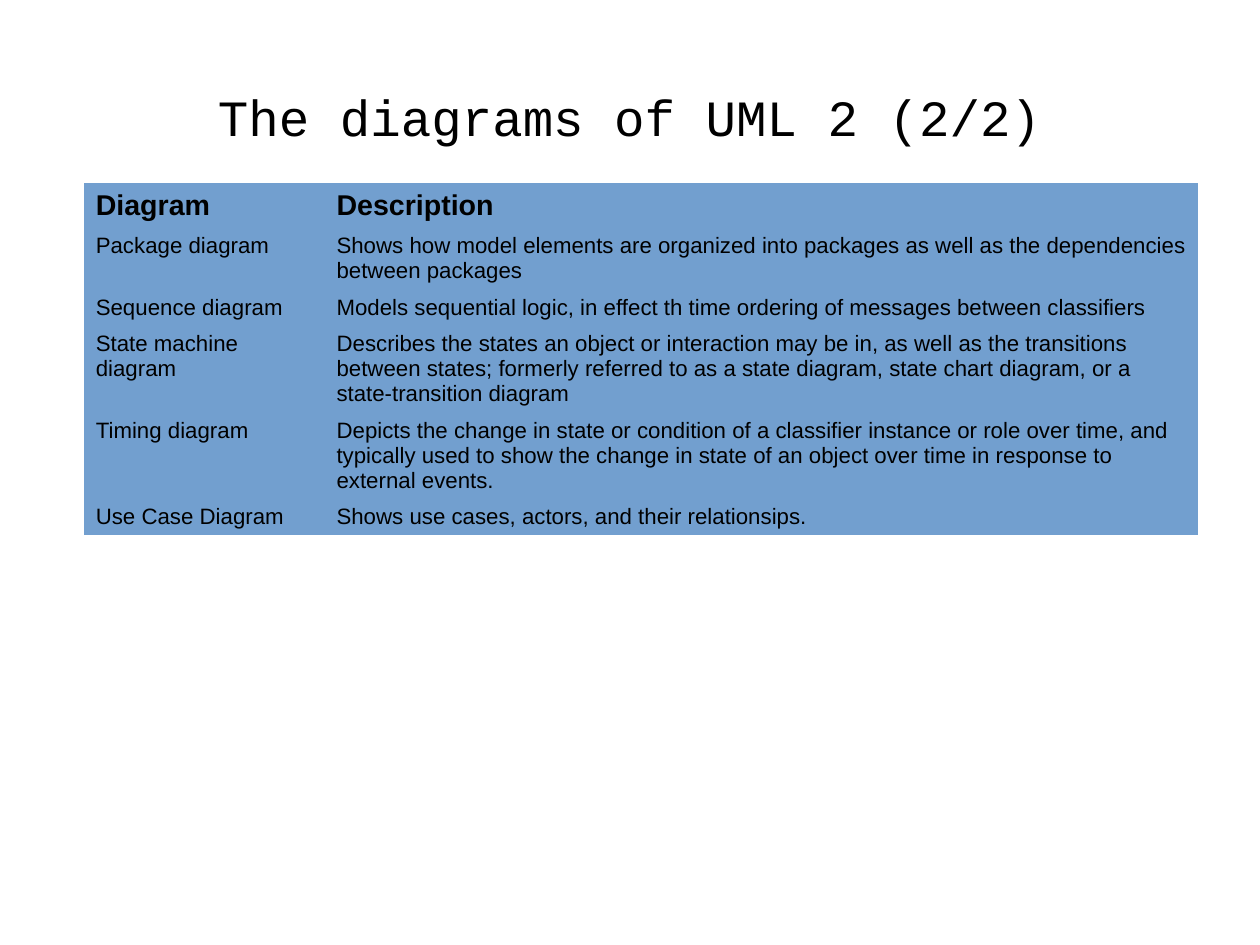
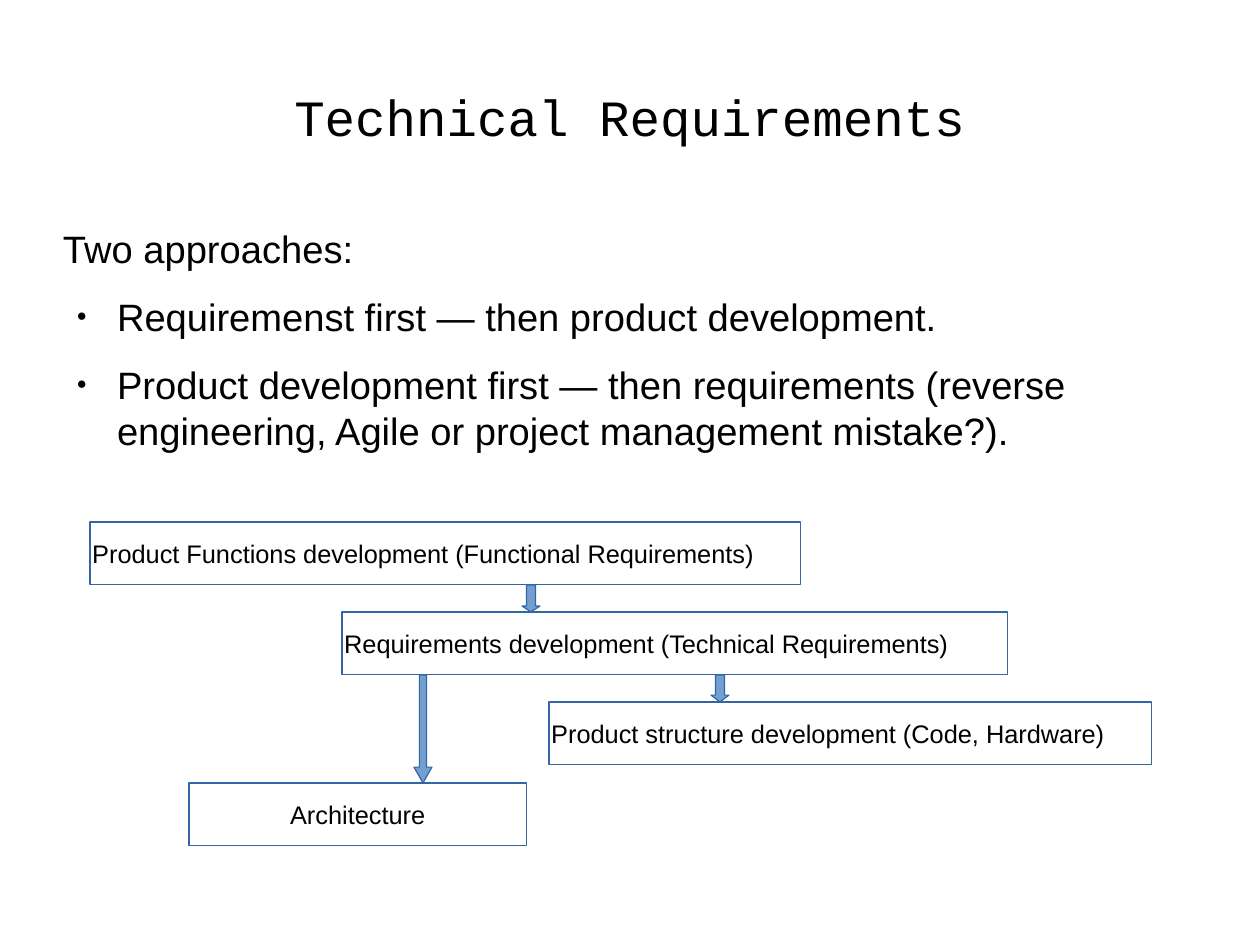
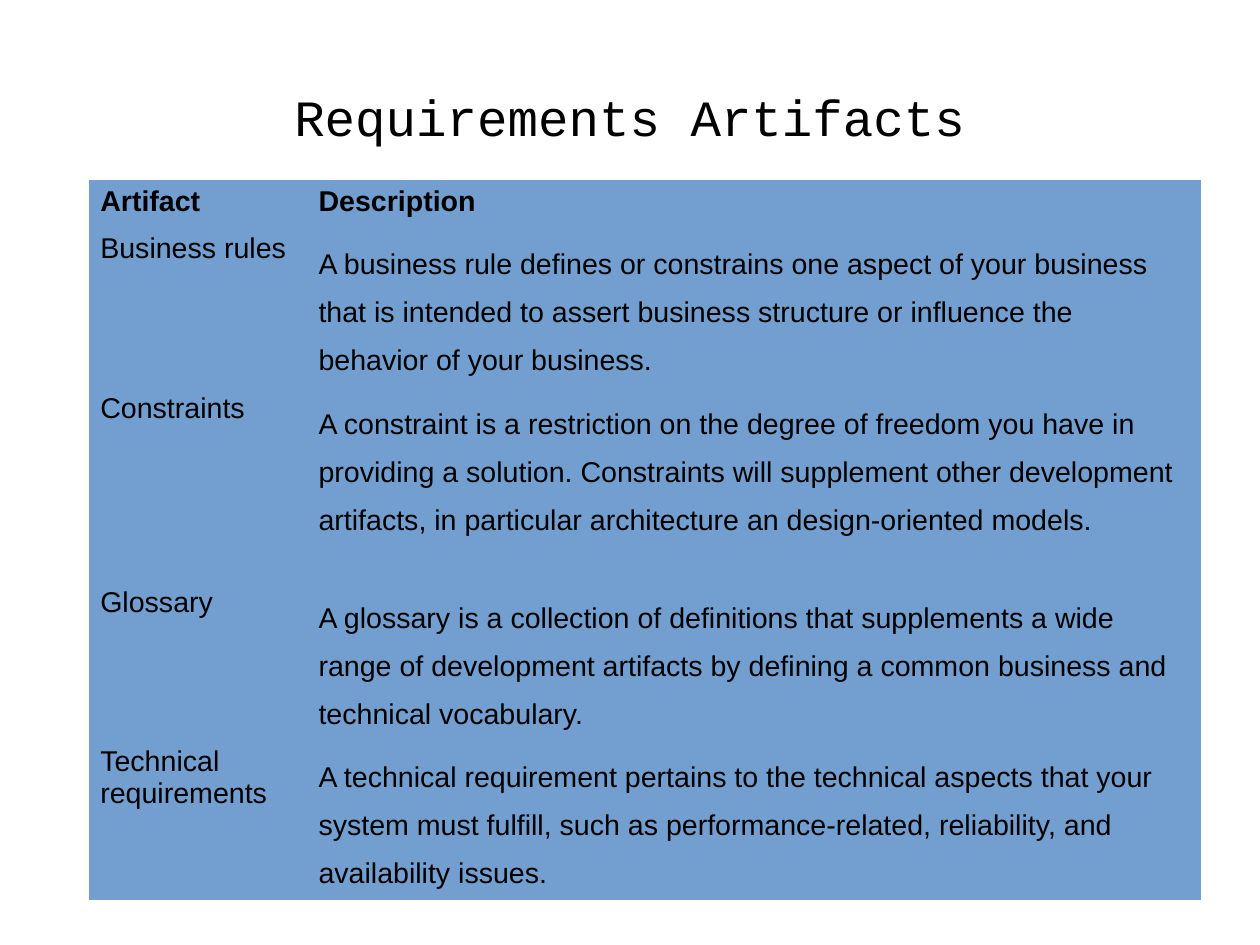
from lxml import etree
from pptx import Presentation
from pptx import util as u
from pptx.dml.color import RGBColor
from pptx.enum import shapes, text
from pptx.oxml import ns

PX = 9000  # EMU, 40 px to the centimetre
SLIDE = (1120, 840)
TITLE = (56, 33, 1008, 141)
HUES = {"ink": "000000", "fill": "729FCF", "line": "3465A4", "back": "FFFFFF"}
SANS, MONO = "Arial", "Courier New"
BARE = "{2D5ABB26-0587-4C30-8999-92F81FD0307C}"  # table style without grid

UML = [
    ("Diagram", "Description"),
    ("Package diagram",
     "Shows how model elements are organized into packages as well as the "
     "dependencies between packages"),
    ("Sequence diagram",
     "Models sequential logic, in effect th time ordering of messages between classifiers"),
    ("State machine diagram",
     "Describes the states an object or interaction may be in, as well as the transitions "
     "between states; formerly referred to as a state diagram, state chart diagram, or a "
     "state-transition diagram"),
    ("Timing diagram",
     "Depicts the change in state or condition of a classifier instance or role over time, "
     "and typically used to show the change in state of an object over time in response to "
     "external events."),
    ("Use Case Diagram", "Shows use cases, actors, and their relationsips."),
]
ITEMS = [
    "Two approaches:",
    "Requiremenst first — then product development.",
    "Product development first — then requirements (reverse engineering, Agile or "
    "project management mistake?).",
]
# label, left, top and width within the diagram
STEPS = [
    ("Product Functions development (Functional Requirements)", 0, 0, 632),
    ("Requirements development (Technical Requirements)", 224, 80, 592),
    ("Product structure development (Code, Hardware)", 408, 160, 536),
    ("Architecture", 88, 232, 300),
]
# from step, to step, left, shaft ratio, head ratio
FLOWS = [(1, 3, 288, 0.4, 0.88), (1, 2, 552, 0.5, 0.38), (0, 1, 384, 0.5, 0.33)]
ARTIFACTS = [
    ("Artifact", "Description"),
    ("Business rules",
     "A business rule defines or constrains one aspect of your business that is intended "
     "to assert business structure or influence the behavior of your business."),
    ("Constraints",
     "A constraint is a restriction on the degree of freedom you have in providing a "
     "solution. Constraints will supplement other development artifacts, in particular "
     "architecture an design-oriented models."),
    ("Glossary",
     "A glossary is a collection of definitions that supplements a wide range of "
     "development artifacts by defining a common business and technical vocabulary."),
    ("Technical requirements",
     "A technical requirement pertains to the technical aspects that your system must "
     "fulfill, such as performance-related, reliability, and availability issues."),
]


def emu(box):
    return [u.Emu(n * PX) for n in box]


def hue(name):
    return RGBColor.from_string(HUES[name])


def style(para, size, face=SANS, bold=False):
    for run in para.runs:
        font = run.font
        font.size, font.name, font.bold = u.Pt(size), face, bold
        font.color.rgb = hue("ink")


def inset(frame, side, top):
    frame.margin_left = frame.margin_right = u.Emu(side * PX)
    frame.margin_top = frame.margin_bottom = u.Emu(top * PX)


def place(holder, box, anchor):
    """Move a placeholder and return its text frame."""
    holder.left, holder.top, holder.width, holder.height = emu(box)
    frame = holder.text_frame
    frame.auto_size = text.MSO_AUTO_SIZE.NONE
    frame.word_wrap = True
    frame.vertical_anchor = anchor
    inset(frame, 0, 0)
    return frame


def start(deck, layout, title):
    """Add a slide with the shared background and title."""
    slide = deck.slides.add_slide(deck.slide_layouts[layout])
    slide.background.fill.solid()
    slide.background.fill.fore_color.rgb = hue("back")
    frame = place(slide.shapes.title, TITLE, text.MSO_ANCHOR.MIDDLE)
    frame.text = title
    para = frame.paragraphs[0]
    para.alignment = text.PP_ALIGN.CENTER
    style(para, 32, MONO)
    return slide


def grid(slide, left, top, cols, rows, data, size, lead=None):
    """Add a two-column table; lead is the line spacing of descriptions."""
    box = emu((left, top, sum(cols), sum(rows)))
    table = slide.shapes.add_table(len(rows), len(cols), *box).table
    table.first_row = table.horz_banding = False
    table._tbl.tblPr.find(ns.qn("a:tableStyleId")).text = BARE
    for col, width in zip(table.columns, emu(cols)):
        col.width = width
    for row, height, words in zip(table.rows, emu(rows), data):
        row.height = height
        head = words is data[0]
        for spot, (cell, label) in enumerate(zip(row.cells, words)):
            cell.fill.solid()
            cell.fill.fore_color.rgb = hue("fill")
            cell.text = label
            para = cell.text_frame.paragraphs[0]
            if lead and spot and not head:
                para.line_spacing = lead
            style(para, 18 if head else size, bold=head)


def bullet(para, dot):
    props = para._p.get_or_add_pPr()
    props.set("marL", str(48 * PX if dot else 0))
    props.set("indent", str(-36 * PX if dot else 0))
    if not dot:
        etree.SubElement(props, ns.qn("a:buNone"))
        return
    tint = etree.SubElement(props, ns.qn("a:buClr"))
    etree.SubElement(tint, ns.qn("a:srgbClr"), val=HUES["ink"])
    etree.SubElement(props, ns.qn("a:buSzPct"), val="45000")
    etree.SubElement(props, ns.qn("a:buFont"), typeface=SANS)
    etree.SubElement(props, ns.qn("a:buChar"), char="●")


def points(slide, box, items):
    """Fill the body: a lead line, then bullets."""
    frame = place(slide.placeholders[1], box, text.MSO_ANCHOR.TOP)
    for spot, item in enumerate(items):
        para = frame.add_paragraph() if spot else frame.paragraphs[0]
        para.text = item
        bullet(para, spot > 0)
        para.space_before, para.space_after = u.Pt(0), u.Pt(14.1)
        style(para, 24)


def shape(slide, kind, box):
    item = slide.shapes.add_shape(kind, *emu(box))
    item.shadow.inherit = False
    item.line.color.rgb = hue("line")
    item.line.width = u.Pt(0)
    return item


def step(slide, box, label, align):
    item = shape(slide, shapes.MSO_SHAPE.RECTANGLE, box)
    item.fill.background()
    frame = item.text_frame
    frame.word_wrap = True
    frame.vertical_anchor = text.MSO_ANCHOR.MIDDLE
    inset(frame, 2, 1)
    frame.text = label
    frame.paragraphs[0].alignment = align
    style(frame.paragraphs[0], 16)


def flow(slide, left, top):
    """Draw the steps and the arrows between them."""
    high, wide = 56, 16
    align = text.PP_ALIGN
    for label, x, y, width in STEPS:
        side = align.CENTER if label == "Architecture" else align.LEFT
        step(slide, (left + x, top + y, width, high), label, side)
    for first, last, x, shaft, head in FLOWS:
        y = STEPS[first][2] + high
        box = (left + x, top + y, wide, STEPS[last][2] - y)
        arrow = shape(slide, shapes.MSO_SHAPE.DOWN_ARROW, box)
        arrow.fill.solid()
        arrow.fill.fore_color.rgb = hue("fill")
        arrow.adjustments[0], arrow.adjustments[1] = shaft, head


def main():
    deck = Presentation()
    deck.slide_width, deck.slide_height = emu(SLIDE)

    slide = start(deck, 5, "The diagrams of UML 2 (2/2)")
    grid(slide, 75, 163, (214, 776), (39, 55, 32, 77, 77, 32), UML, 14)

    slide = start(deck, 1, "Technical Requirements")
    points(slide, (56, 200, 1008, 240), ITEMS)
    flow(slide, 80, 464)

    slide = start(deck, 5, "Requirements Artifacts")
    grid(slide, 79, 160, (194, 795), (42, 142, 172, 142, 142), ARTIFACTS, 18, 1.5)

    deck.save("out.pptx")


if __name__ == "__main__":
    main()
